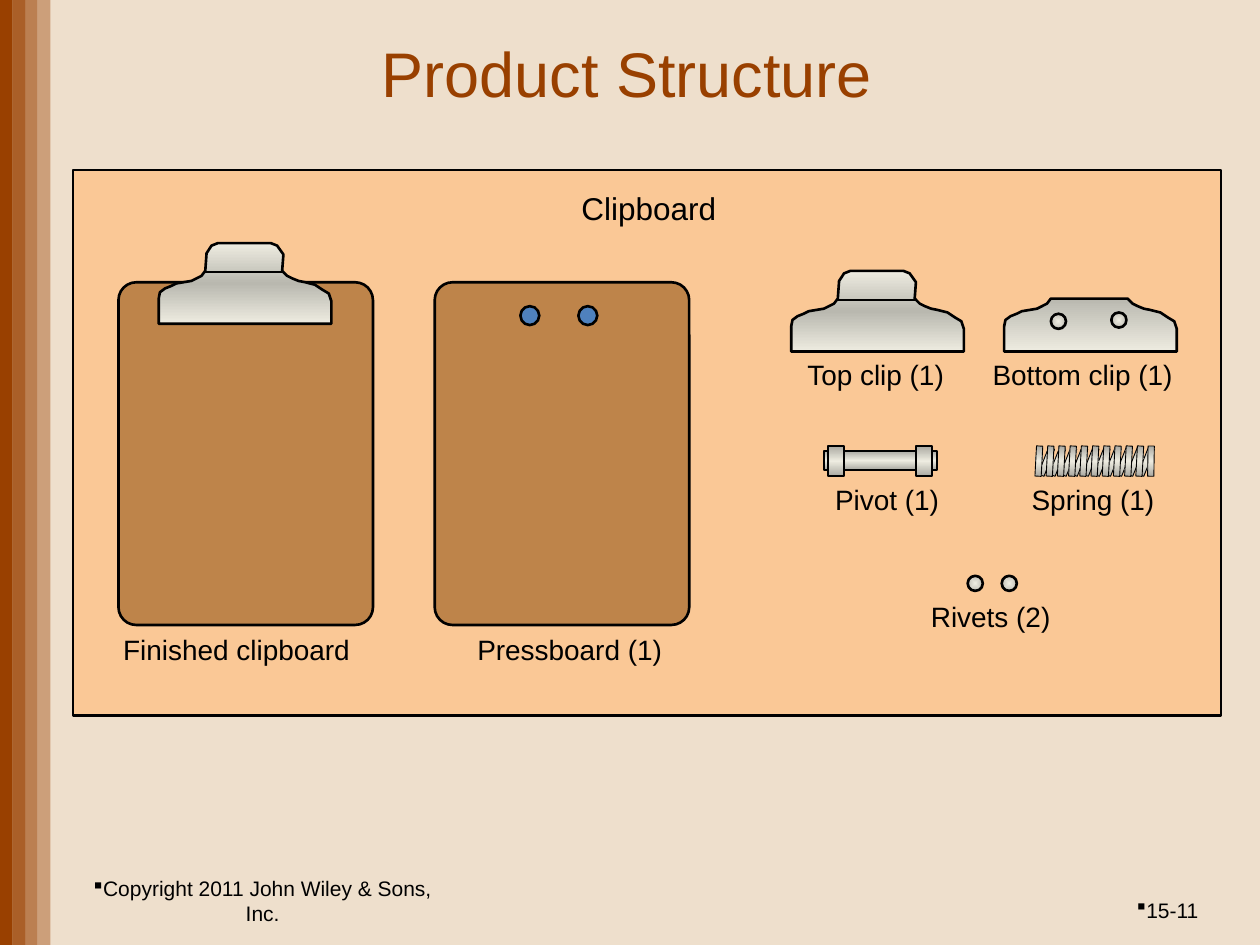
from lxml.etree import SubElement
from pptx import Presentation
from pptx.dml.color import RGBColor
from pptx.enum.shapes import MSO_CONNECTOR, MSO_SHAPE
from pptx.enum.text import MSO_ANCHOR, PP_ALIGN
from pptx.oxml.ns import qn
from pptx.util import Inches, Pt

BACKGROUND = RGBColor(0xEE, 0xDF, 0xCC)
RUST = RGBColor(0x99, 0x40, 0x00)
BLACK = RGBColor(0x00, 0x00, 0x00)
PEACH = RGBColor(0xFA, 0xC8, 0x96)
PRESSBOARD = RGBColor(0xBE, 0x84, 0x4A)
BLUE = RGBColor(0x4F, 0x81, 0xBD)
IVORY = RGBColor(0xEE, 0xEC, 0xE1)
SILVER = RGBColor(0xB9, 0xB8, 0xAF)
RIVET_GREY = RGBColor(0xC0, 0xBE, 0xB5)
STEEL = RGBColor(0xAA, 0xA9, 0xA1)
METAL_BAR = [STEEL, IVORY, STEEL]

presentation = Presentation()
presentation.slide_width, presentation.slide_height = Inches(10), Inches(7.5)
slide = presentation.slides.add_slide(presentation.slide_layouts[6])
slide.background.fill.solid()
slide.background.fill.fore_color.rgb = BACKGROUND
shapes = slide.shapes
# The slide is a grid of 1000 columns by 750 rows of square cells.
CELL = presentation.slide_width // 1000


def paint(shape, fill, line_width=1.5, radial=False):
    """Fill with one colour, or with a list of evenly spaced gradient colours."""
    shape.shadow.inherit = False
    if isinstance(fill, list):
        shape.fill.gradient()
        gradient = shape.fill._xPr.find(qn("a:gradFill"))
        for child in list(gradient):
            gradient.remove(child)
        stops = SubElement(gradient, qn("a:gsLst"))
        for index, color in enumerate(fill):
            position = 100000 * index // (len(fill) - 1)
            stop = SubElement(stops, qn("a:gs"), pos=str(position))
            SubElement(stop, qn("a:srgbClr"), val=str(color))
        if radial:
            center = SubElement(gradient, qn("a:path"), {"path": "shape"})
            SubElement(center, qn("a:fillToRect"), l="50000", t="50000", r="50000", b="50000")
        else:
            SubElement(gradient, qn("a:lin"), ang="5400000", scaled="0")
    else:
        shape.fill.solid()
        shape.fill.fore_color.rgb = fill
    if line_width:
        shape.line.color.rgb = BLACK
        shape.line.width = Pt(line_width)
    else:
        shape.line.fill.background()


def write(text, box, size=16, color=BLACK, align=PP_ALIGN.LEFT,
          anchor=MSO_ANCHOR.TOP, wrap=False, tab=None, bullet=False):
    text_box = shapes.add_textbox(*[CELL * length for length in box])
    frame = text_box.text_frame
    frame.word_wrap = wrap
    frame.vertical_anchor = anchor
    paragraph = frame.paragraphs[0]
    paragraph.text = text
    paragraph.alignment = align
    properties = paragraph._p.get_or_add_pPr()
    if bullet:
        properties.set("marL", "0")
        properties.set("indent", "0")
        SubElement(properties, qn("a:buFont"), typeface="Wingdings")
        SubElement(properties, qn("a:buChar"), char="§")
    if tab:
        tabs = SubElement(properties, qn("a:tabLst"))
        SubElement(tabs, qn("a:tab"), pos=str(CELL * tab), algn="l")
    font = paragraph.runs[0].font
    font.name, font.size, font.color.rgb = "Arial", Pt(size), color


# Side stripes, fading to the right
for index in range(4):
    stripe = shapes.add_shape(MSO_SHAPE.RECTANGLE, CELL * 10 * index, 0,
                              CELL * 10, presentation.slide_height)
    paint(stripe, RUST, line_width=0)
    color_element = stripe.fill._xPr.find(qn("a:solidFill"))[0]
    SubElement(color_element, qn("a:alpha"), val=str(100000 - 20000 * index))

write("Product Structure", (94, 3, 807, 108), size=36, color=RUST,
      align=PP_ALIGN.CENTER, anchor=MSO_ANCHOR.MIDDLE, wrap=True)
write("15-11", (721, 697, 240, 50), size=12, align=PP_ALIGN.RIGHT,
      anchor=MSO_ANCHOR.MIDDLE, wrap=True, bullet=True)
write("Copyright 2011 John Wiley & Sons, Inc.", (50, 695, 317, 40), size=12,
      align=PP_ALIGN.CENTER, anchor=MSO_ANCHOR.MIDDLE, wrap=True, bullet=True)

# Panel and the two boards
panel = shapes.add_shape(MSO_SHAPE.RECTANGLE, CELL * 58, CELL * 135, CELL * 911, CELL * 433)
paint(panel, PEACH)
for left in (94, 345):
    board = shapes.add_shape(MSO_SHAPE.ROUNDED_RECTANGLE, CELL * left, CELL * 224,
                             CELL * 202, CELL * 272)
    board.adjustments[0] = 0.07
    paint(board, PRESSBOARD)

# Clips: outlines start at the bottom left corner
right_skirt = [(0, 0), (137, 0), (137, -18), (135, -24), (130, -27), (124, -31),
               (116, -33), (111, -34), (106, -36), (102, -38), (98, -42)]
handle = [(99, -55), (94, -62), (89, -64), (47, -64), (42, -62), (38, -56)]
left_skirt = [(37, -42), (34, -38), (30, -36), (26, -34), (20, -33), (14, -32),
              (10, -30), (5, -28), (1, -25), (0, -20)]
top_clip = right_skirt + handle + left_skirt
bottom_clip = right_skirt + left_skirt
for left, bottom, outline, fill in (
    (126, 257, top_clip, [IVORY, SILVER, IVORY]),
    (628, 279, top_clip, [IVORY, SILVER, IVORY]),
    (797, 279, bottom_clip, [SILVER, IVORY]),
):
    points = [(CELL * (left + x), CELL * (bottom + y)) for x, y in outline]
    builder = shapes.build_freeform(*points[0])
    builder.add_line_segments(points[1:], close=True)
    paint(builder.convert_to_shape(), fill)
    if outline is top_clip:
        crease = shapes.add_connector(
            MSO_CONNECTOR.STRAIGHT, CELL * (left + 36), CELL * (bottom - 41),
            CELL * (left + 99), CELL * (bottom - 41))
        crease.line.color.rgb = BLACK
        crease.line.width = Pt(1.5)
        SubElement(crease._element.spPr, qn("a:effectLst"))

# Holes in the pressboard, then rivets on the bottom clip and loose
for left, top, size, fill in (
    (413, 243, 15, BLUE), (459, 243, 15, BLUE),
    (834, 249, 12, [IVORY, RIVET_GREY]), (882, 248, 12, [IVORY, RIVET_GREY]),
    (768, 457, 12, [IVORY, RIVET_GREY]), (795, 457, 12, [IVORY, RIVET_GREY]),
):
    circle = shapes.add_shape(MSO_SHAPE.OVAL, CELL * left, CELL * top, CELL * size, CELL * size)
    paint(circle, fill, radial=True)

# Pivot parts and spring coils: left, top, width, height, rotation, line width
pivot = [(654, 358, 90, 15, 0, 1), (657, 354, 13, 24, 0, 1), (727, 354, 13, 24, 0, 1)]
back_coils = [(828 + 8.8 * i, 355, 5, 23, 21.5, 0.5) for i in range(10)]
front_coils = [(822 + 8.9 * i, 354, 5, 24, 3 if i < 10 else 0.9, 0.5) for i in range(11)]
for left, top, width, height, rotation, line_width in pivot + back_coils + front_coils:
    bar = shapes.add_shape(MSO_SHAPE.RECTANGLE, round(CELL * left), CELL * top,
                           CELL * width, CELL * height)
    bar.rotation = rotation
    paint(bar, METAL_BAR, line_width)

# Labels
write("Top clip (1)\tBottom clip (1)", (631, 279, 323, 37), tab=147)
write("Pivot (1)\tSpring (1)", (653, 378, 280, 37), tab=156)
write("Rivets (2)", (729, 471, 120, 37))
write("Finished clipboard\tPressboard (1)", (88, 497, 457, 37), tab=281)
write("Clipboard", (451, 145, 128, 40), size=18, align=PP_ALIGN.CENTER)

presentation.save("out.pptx")
